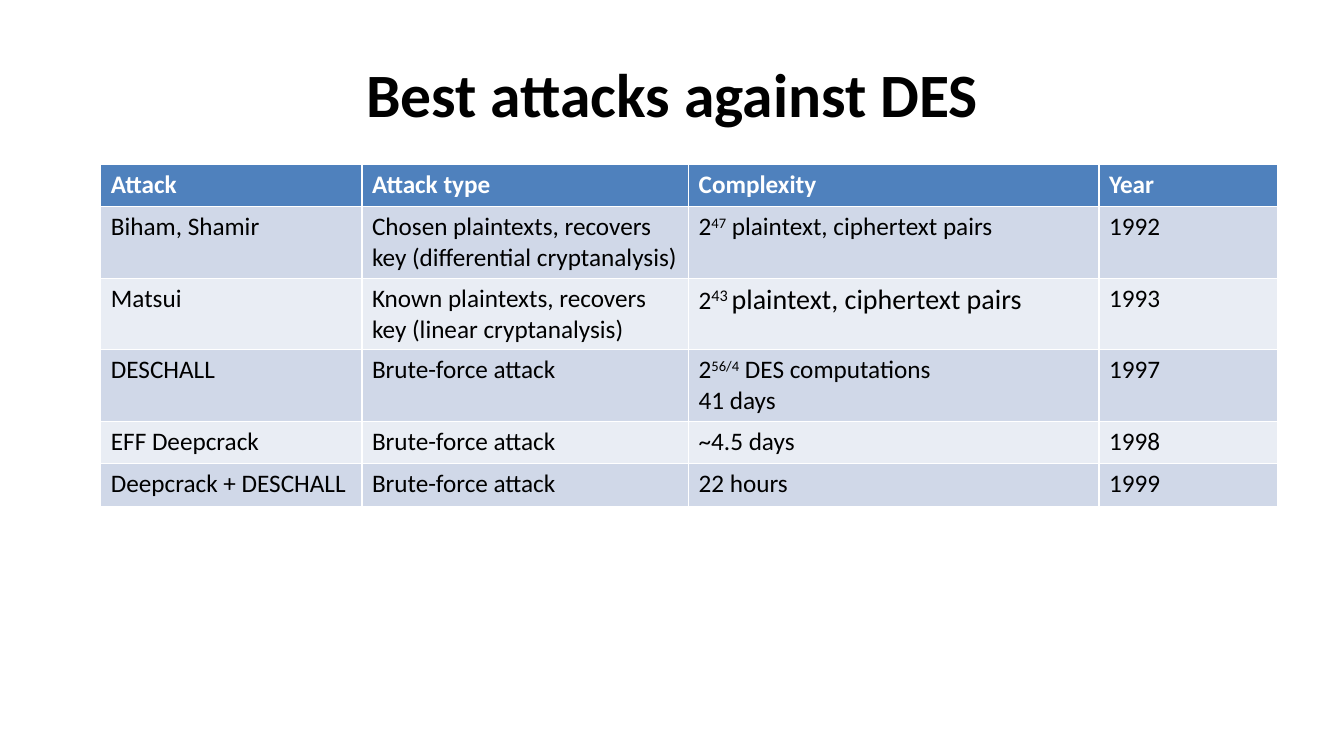
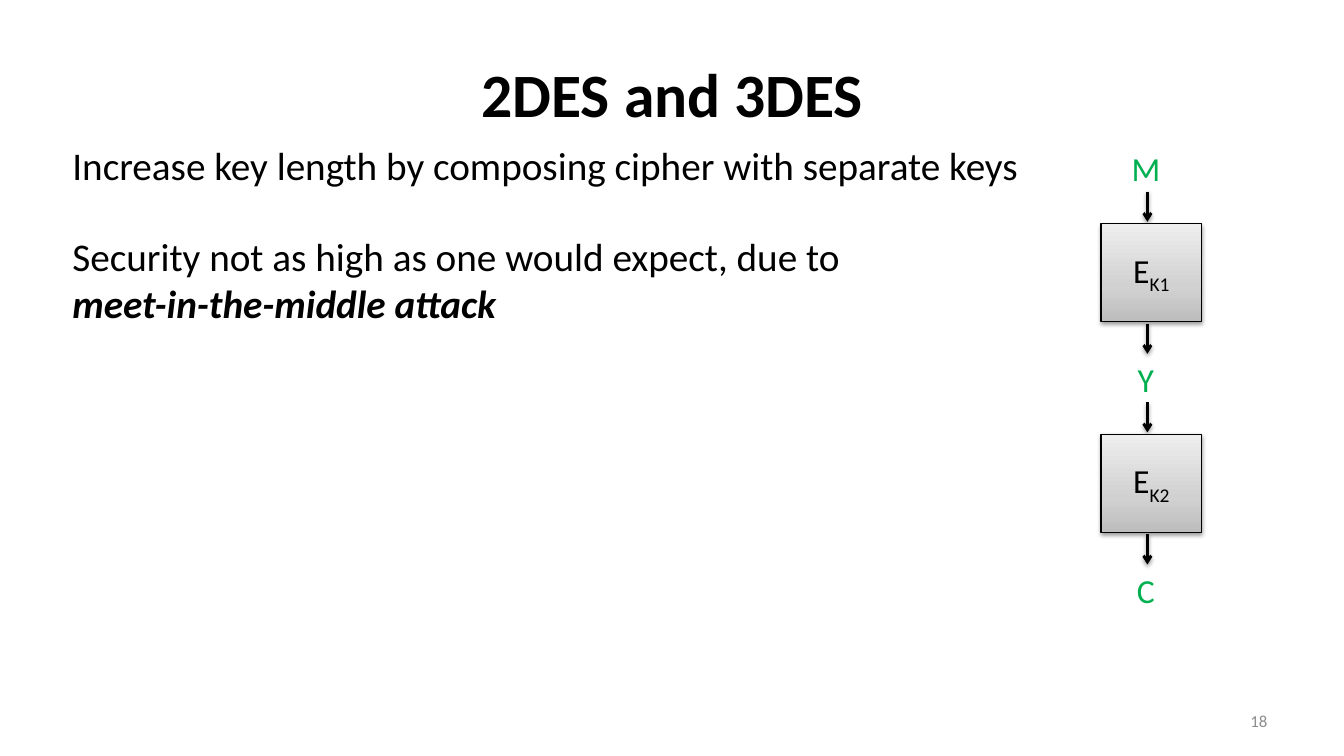
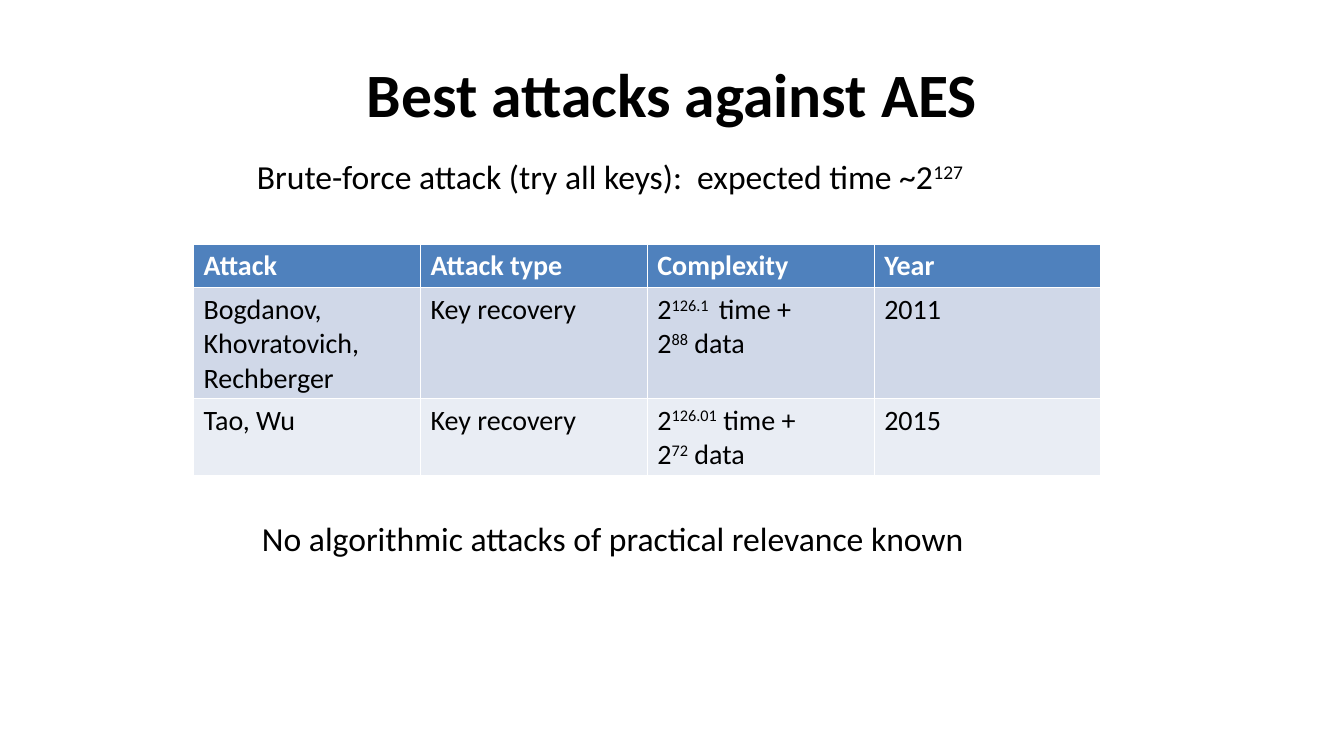
from copy import deepcopy
from dataclasses import dataclass

from lxml import etree
from pptx import Presentation
from pptx import util as u
from pptx.dml.color import RGBColor
from pptx.enum import shapes, text
from pptx.oxml.ns import qn

PX = 9144
MARKS = {"^": 30000, "_": -25000, "*": 0}


@dataclass(frozen=True)
class Theme:
    """Colours and type sizes shared by the slides."""
    font: str = "Calibri"
    ink: str = "000000"
    white: str = "FFFFFF"
    message: str = "00B050"
    muted: str = "8C8C8C"
    header: str = "4F81BD"
    bands: tuple = ("D0D8E8", "E9EDF4")
    cipher_stops: tuple = ((0, "BDBDBD"), (0.35, "D1D1D1"), (1, "EEEEEE"))
    title: int = 44
    body: int = 28
    note: int = 24
    table_large: int = 20
    table: int = 18
    number: int = 12


THEME = Theme()


def px(*lengths):
    """Turn px lengths into EMU."""
    return [u.Emu(length * PX) for length in lengths]


def rgb(value):
    """Return a colour from its hex digits."""
    return RGBColor.from_string(value)


def write(frame, content, size, color=THEME.ink, align=None, bold=None):
    """Fill a text frame; ^raised^, _lowered_ and *stressed* parts are marked."""
    frame.text = content
    mark = next((m for m in MARKS if m in content), "^")
    for paragraph in frame.paragraphs:
        pieces = paragraph.text.split(mark)
        paragraph.clear()
        paragraph.alignment = align
        for index, piece in enumerate(pieces):
            if not piece:
                continue
            run = paragraph.add_run()
            run.text = piece
            run.font.name = THEME.font
            run.font.size = u.Pt(size)
            run.font.color.rgb = rgb(color)
            run.font.bold = bold
            if index % 2 and MARKS[mark]:
                run.font._element.set("baseline", str(MARKS[mark]))
            elif index % 2:
                run.font.bold = run.font.italic = True


def add_titled_slide(deck, title):
    """Add a slide with the shared title style."""
    slide = deck.slides.add_slide(deck.slide_layouts[5])
    heading = slide.shapes.title
    heading.left, heading.top, heading.width, heading.height = px(67, 30, 1200, 125)
    heading.text_frame.vertical_anchor = text.MSO_ANCHOR.MIDDLE
    write(heading.text_frame, title, THEME.title, align=text.PP_ALIGN.CENTER, bold=True)
    return slide


def add_text(slide, box, content, size, color=THEME.ink, align=None, wrap=False):
    """Add a text box that grows with its text."""
    frame = slide.shapes.add_textbox(*px(*box)).text_frame
    frame.word_wrap = wrap
    frame.auto_size = text.MSO_AUTO_SIZE.SHAPE_TO_FIT_TEXT
    write(frame, content, size, color, align)
    return frame


def add_attacks(slide, left, top, widths, rows, size):
    """Add a table of attacks with a header and banded rows."""
    box = px(left, top, sum(widths), 42 * len(rows))
    table = slide.shapes.add_table(len(rows), len(widths), *box).table
    for column, width in zip(table.columns, px(*widths)):
        column.width = width
    for r, row in enumerate(rows):
        fill = THEME.bands[(r - 1) % 2] if r else THEME.header
        for c, content in enumerate(row):
            cell = table.cell(r, c)
            cell.fill.solid()
            cell.fill.fore_color.rgb = rgb(fill)
            color = THEME.ink if r else THEME.white
            write(cell.text_frame, content, size, color, bold=r == 0)
    return table


def add_shadow(effects):
    """Put a soft shadow below the owner of an effect list."""
    shadow = etree.SubElement(effects, qn("a:outerShdw"), blurRad="40000",
                              dist="20000", dir="5400000", rotWithShape="0")
    black = etree.SubElement(shadow, qn("a:srgbClr"), val=THEME.ink)
    etree.SubElement(black, qn("a:alpha"), val="38000")


def add_cipher(slide, left, top, label):
    """Add a shaded cipher box."""
    cipher = slide.shapes.add_shape(shapes.MSO_SHAPE.RECTANGLE, *px(left, top, 100, 97))
    cipher.fill.gradient()
    cipher.fill.gradient_angle = 90
    stops = cipher.element.spPr.find(".//" + qn("a:gsLst"))
    stops.insert(1, deepcopy(stops[0]))
    for stop, (position, color) in zip(cipher.fill.gradient_stops, THEME.cipher_stops):
        stop.position = position
        stop.color.rgb = rgb(color)
    cipher.line.color.rgb = rgb(THEME.ink)
    cipher.line.width = u.Pt(0.75)
    cipher.shadow.inherit = False
    add_shadow(cipher.element.spPr.find(qn("a:effectLst")))
    cipher.text_frame.vertical_anchor = text.MSO_ANCHOR.MIDDLE
    write(cipher.text_frame, label, THEME.note, align=text.PP_ALIGN.CENTER)


def add_arrow(slide, x, top):
    """Add a short downward arrow."""
    arrow = slide.shapes.add_connector(shapes.MSO_CONNECTOR.STRAIGHT,
                                       *px(x, top, x, top + 30))
    arrow.line.color.rgb = rgb(THEME.ink)
    arrow.line.width = u.Pt(2)
    properties = arrow.element.spPr
    etree.SubElement(properties.find(qn("a:ln")), qn("a:tailEnd"), type="arrow")
    add_shadow(etree.SubElement(properties, qn("a:effectLst")))


def add_message(slide, top, label):
    """Add a message symbol between the cipher boxes."""
    add_text(slide, (1112, top, 49, 50), label, THEME.note, THEME.message,
             text.PP_ALIGN.CENTER)


def build_des(deck):
    """Build the slide on attacks against DES."""
    slide = add_titled_slide(deck, "Best attacks against DES")
    table = add_attacks(slide, 100, 163, (259, 324, 407, 177), (
        ("Attack", "Attack type", "Complexity", "Year"),
        ("Biham, Shamir", "Chosen plaintexts, recovers key (differential cryptanalysis)",
         "2^47^ plaintext, ciphertext pairs", "1992"),
        ("Matsui", "Known plaintexts, recovers key (linear cryptanalysis)",
         "2^43 ^plaintext, ciphertext pairs", "1993"),
        ("DESCHALL", "Brute-force attack", "2^56/4^ DES computations\n41 days", "1997"),
        ("EFF Deepcrack", "Brute-force attack", "~4.5 days", "1998"),
        ("Deepcrack + DESCHALL", "Brute-force attack", "22 hours", "1999"),
    ), THEME.table)
    for run in table.cell(2, 2).text_frame.paragraphs[0].runs[1:]:
        run.font.size = u.Pt(THEME.table_large)


def build_composed_des(deck):
    """Build the slide on double and triple DES."""
    slide = add_titled_slide(deck, "2DES and 3DES")
    add_text(slide, (62, 135, 1060, 57),
             "Increase key length by composing cipher with separate keys",
             THEME.body, wrap=True)
    add_text(slide, (62, 226, 822, 104),
             "Security not as high as one would expect, due to *meet-in-the-middle attack*",
             THEME.body, wrap=True)
    stage_height = 209
    for stage, (message, cipher) in enumerate((("M", "E_K1_"), ("Y", "E_K2_"))):
        top = 142 + stage * stage_height
        add_message(slide, top, message)
        add_arrow(slide, 1138, top + 48)
        add_cipher(slide, 1092, top + 80, cipher)
        add_arrow(slide, 1138, top + 179)
    add_message(slide, 142 + 2 * stage_height, "C")
    number = add_text(slide, (956, 695, 311, 40), "18", THEME.number, THEME.muted,
                      text.PP_ALIGN.RIGHT, wrap=True)
    number.auto_size = text.MSO_AUTO_SIZE.NONE
    number.vertical_anchor = text.MSO_ANCHOR.MIDDLE


def build_aes(deck):
    """Build the slide on attacks against AES."""
    slide = add_titled_slide(deck, "Best attacks against AES")
    add_text(slide, (245, 150, 732, 50),
             "Brute-force attack (try all keys):  expected time ~2^127^", THEME.note)
    add_attacks(slide, 192, 242, (225,) * 4, (
        ("Attack", "Attack type", "Complexity", "Year"),
        ("Bogdanov, Khovratovich, Rechberger", "Key recovery",
         "2^126.1 ^ time +\n2^88^ data", "2011"),
        ("Tao, Wu", "Key recovery", "2^126.01^ time +\n2^72^ data", "2015"),
    ), THEME.table_large)
    add_text(slide, (250, 509, 723, 50),
             "No algorithmic attacks of practical relevance known", THEME.note)


def main():
    """Build and save the deck."""
    deck = Presentation()
    deck.slide_width, deck.slide_height = px(1333, 750)
    build_des(deck)
    build_composed_des(deck)
    build_aes(deck)
    deck.save("out.pptx")


if __name__ == "__main__":
    main()
